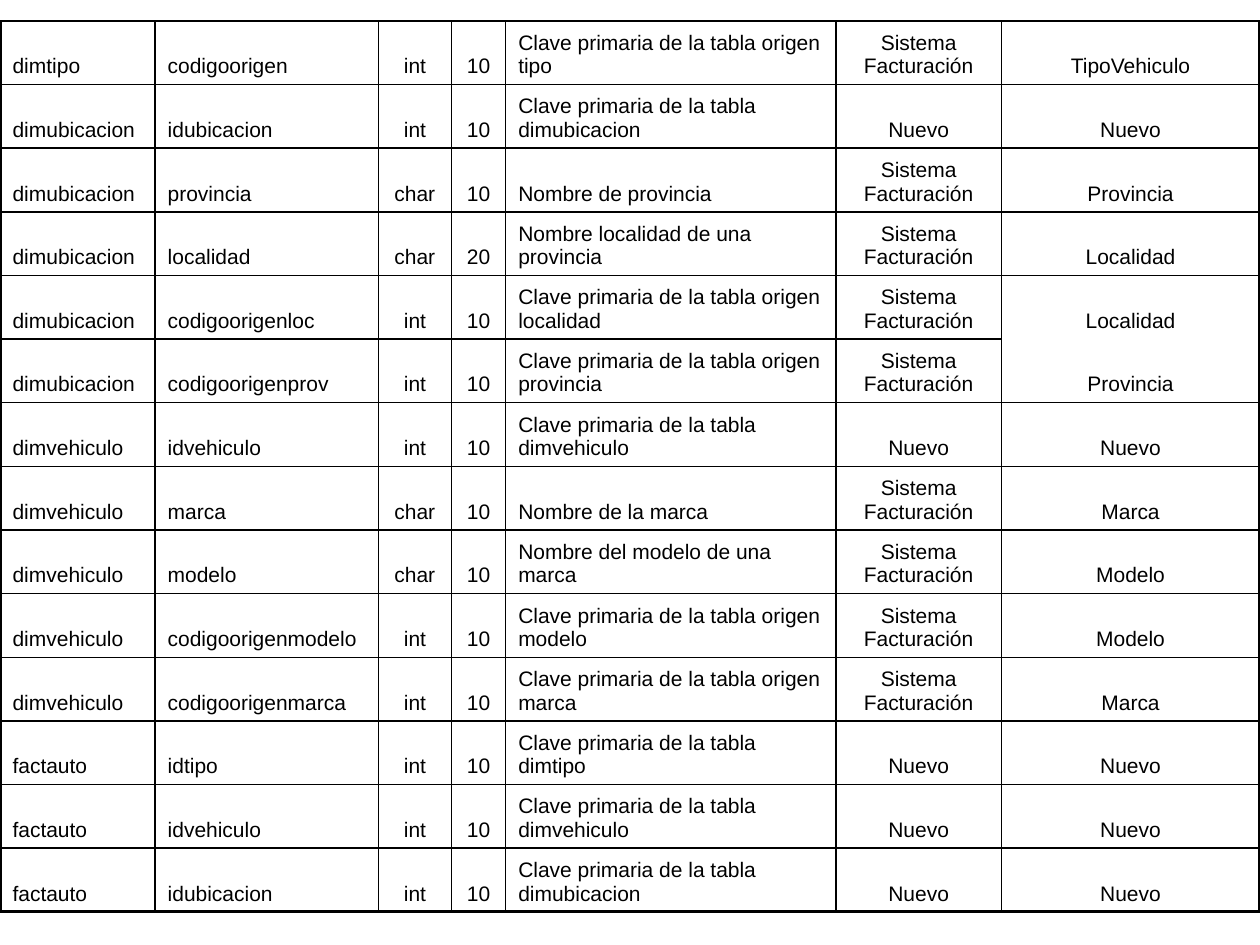
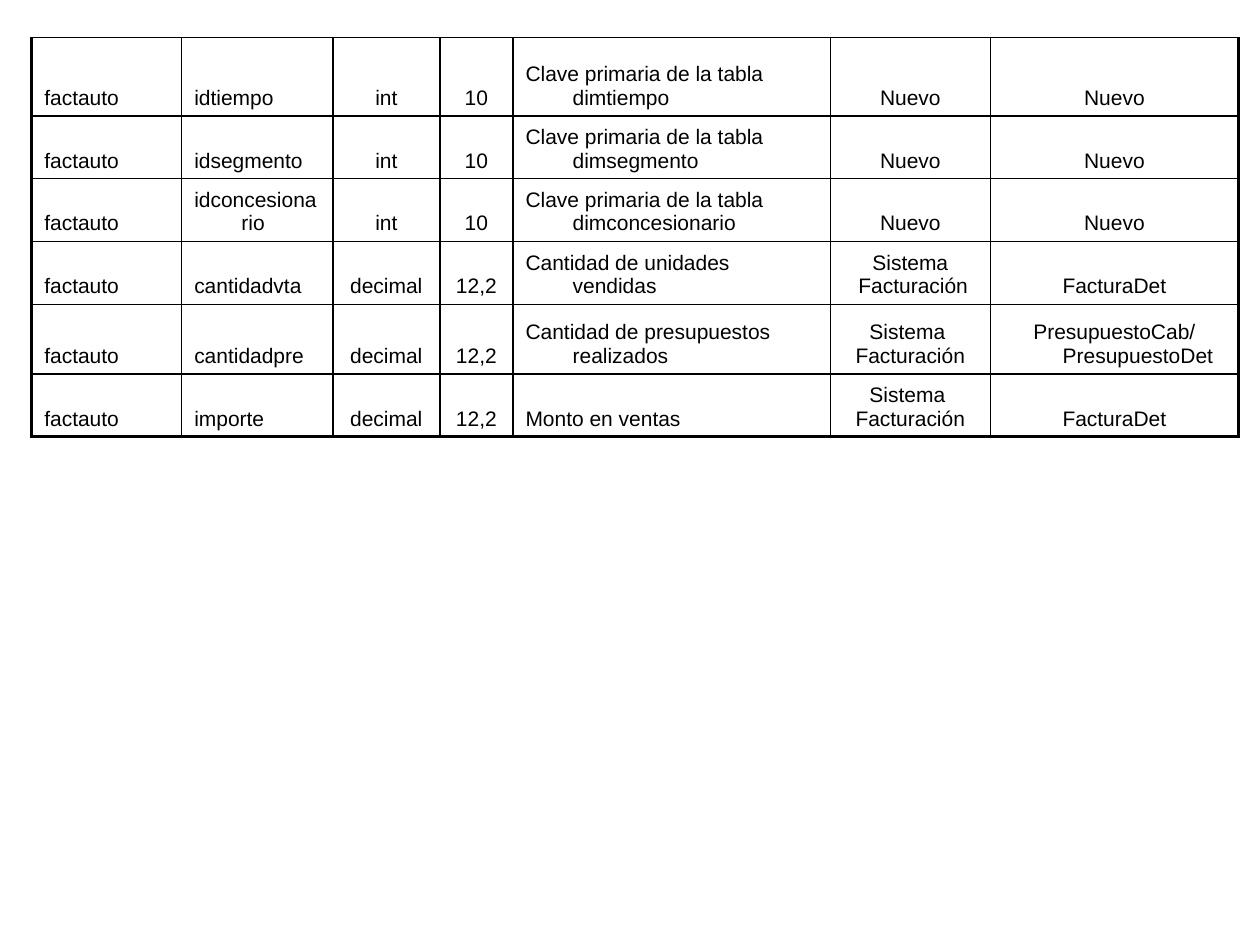
from lxml import etree
from pptx import Presentation
from pptx import util as u
from pptx.dml.color import RGBColor
from pptx.enum import text
from pptx.oxml.ns import qn

COLORS = {"ink": "000000"}
FONT = "Arial"
THIN, THICK = 1, 2
CENTRED = {2, 3, 5, 6}
NEW = "Nuevo"
SYS = "Sistema Facturación"
KEY = "Clave primaria de la tabla "
ORIG = KEY + "origen "

DIMS = [
    ("dimtipo", "codigoorigen", "int", "10", ORIG + "tipo", SYS, "TipoVehiculo"),
    ("dimubicacion", "idubicacion", "int", "10", KEY + "dimubicacion", NEW, NEW),
    ("dimubicacion", "provincia", "char", "10", "Nombre de provincia", SYS, "Provincia"),
    ("dimubicacion", "localidad", "char", "20", "Nombre localidad de una provincia", SYS,
     "Localidad"),
    ("dimubicacion", "codigoorigenloc", "int", "10", ORIG + "localidad", SYS, "Localidad"),
    ("dimubicacion", "codigoorigenprov", "int", "10", ORIG + "provincia", SYS, "Provincia"),
    ("dimvehiculo", "idvehiculo", "int", "10", KEY + "dimvehiculo", NEW, NEW),
    ("dimvehiculo", "marca", "char", "10", "Nombre de la marca", SYS, "Marca"),
    ("dimvehiculo", "modelo", "char", "10", "Nombre del modelo de una marca", SYS, "Modelo"),
    ("dimvehiculo", "codigoorigenmodelo", "int", "10", ORIG + "modelo", SYS, "Modelo"),
    ("dimvehiculo", "codigoorigenmarca", "int", "10", ORIG + "marca", SYS, "Marca"),
    ("factauto", "idtipo", "int", "10", KEY + "dimtipo", NEW, NEW),
    ("factauto", "idvehiculo", "int", "10", KEY + "dimvehiculo", NEW, NEW),
    ("factauto", "idubicacion", "int", "10", KEY + "dimubicacion", NEW, NEW),
]
FACTS = [
    ("factauto", "idtiempo", "int", "10", KEY + "dimtiempo", NEW, NEW),
    ("factauto", "idsegmento", "int", "10", KEY + "dimsegmento", NEW, NEW),
    ("factauto", "idconcesionario", "int", "10", KEY + "dimconcesionario", NEW, NEW),
    ("factauto", "cantidadvta", "decimal", "12,2", "Cantidad de unidades vendidas",
     "Sistema\n Facturación", "FacturaDet"),
    ("factauto", "cantidadpre", "decimal", "12,2", "Cantidad de presupuestos realizados",
     "Sistema \nFacturación", "PresupuestoCab/PresupuestoDet"),
    ("factauto", "importe", "decimal", "12,2", "Monto en ventas",
     "Sistema \nFacturación", "FacturaDet"),
]


def write(cell, words, size=12, color="ink", centre=False, hang=0):
    """Fill a cell, one paragraph a line, with a hanging indent in cm."""
    cell.vertical_anchor = text.MSO_ANCHOR.BOTTOM
    frame = cell.text_frame
    frame.text = words
    for par in frame.paragraphs:
        par.alignment = text.PP_ALIGN.CENTER if centre else text.PP_ALIGN.LEFT
        if hang:
            props = par._p.get_or_add_pPr()
            props.set("marL", str(u.Cm(hang)))
            props.set("indent", str(-u.Cm(hang)))
        for run in par.runs:
            run.font.name = FONT
            run.font.size = u.Pt(size)
            run.font.color.rgb = RGBColor.from_string(COLORS[color])


def border(cell, **widths):
    """Draw the sides L, R, T and B in points; 0 leaves a side open."""
    props = cell._tc.get_or_add_tcPr()
    for place, side in enumerate("LRTB"):
        line = etree.Element(qn("a:ln" + side), w=str(u.Pt(widths[side])))
        props.insert(place, line)
        if widths[side]:
            fill = etree.SubElement(line, qn("a:solidFill"))
            etree.SubElement(fill, qn("a:srgbClr"), val=COLORS["ink"])
        else:
            etree.SubElement(line, qn("a:noFill"))


def grid(slide, box, data, cols, rows, hang=0, merged=None):
    """Place the field table; merged names a cell with no line below it."""
    left, top, width, height = map(u.Cm, box)
    table = slide.shapes.add_table(len(data), len(cols), left, top, width, height).table
    table.first_row = table.horz_banding = False
    for col, share in zip(table.columns, cols):
        col.width = int(width * share / sum(cols))
    for row, share in zip(table.rows, rows):
        row.height = int(height * share / sum(rows))
    end, last = len(data) - 1, len(cols) - 1
    for r, record in enumerate(data):
        for c, words in enumerate(record):
            cell = table.cell(r, c)
            write(cell, words, centre=c in CENTRED, hang=hang)
            cell.fill.background()
            border(cell,
                   L=THIN if c else THICK,
                   R=THICK if c == last else THIN,
                   T=0 if (r - 1, c) == merged else THIN,
                   B=0 if (r, c) == merged else THICK if r == end else THIN)


def main():
    deck = Presentation()
    deck.slide_width, deck.slide_height = u.Cm(25.4), u.Cm(19.05)
    blank = deck.slide_layouts[6]
    grid(deck.slides.add_slide(blank), (0, 0.42, 25.4, 17.97), DIMS,
         cols=[1.23, 1.77, 0.58, 0.43, 2.62, 1.31, 2.05],
         rows=[1] * len(DIMS), merged=(4, 6))
    grid(deck.slides.add_slide(blank), (0.64, 0.76, 24.33, 8.05), FACTS,
         cols=[1.19, 1.2, 0.85, 0.58, 2.52, 1.27, 1.97],
         rows=[0.62, 0.5, 0.5, 0.5, 0.55, 0.5], hang=0.95)
    deck.save("out.pptx")


if __name__ == "__main__":
    main()
